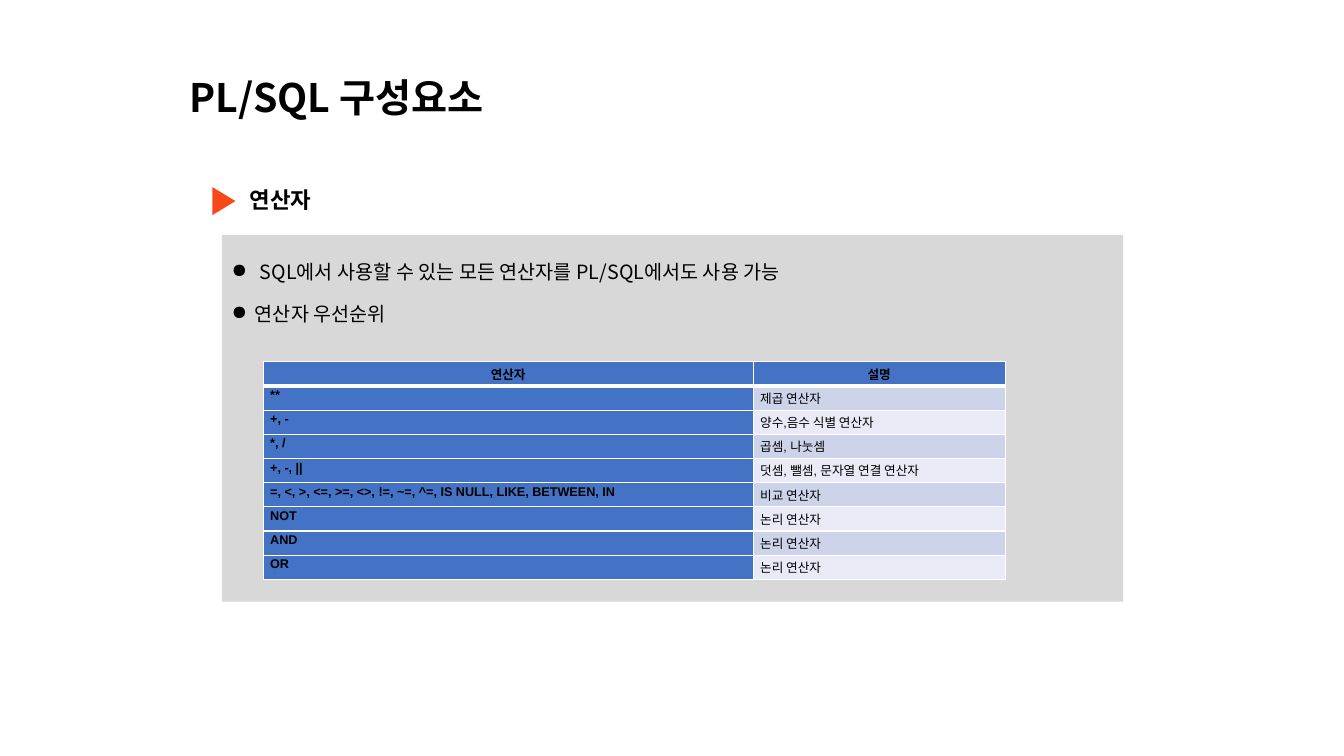
import pptx
import pptx.dml.color
import pptx.enum.shapes
import pptx.enum.text
import pptx.oxml
import pptx.oxml.ns
import pptx.util

Inches = pptx.util.Inches
Pt = pptx.util.Pt
qn = pptx.oxml.ns.qn
ALIGN = pptx.enum.text.PP_ALIGN
SHAPE = pptx.enum.shapes.MSO_SHAPE

KOREAN_FONT = "Noto Sans CJK KR"
COLORS = {
    "text": "000000",
    "panel": "D8D8D8",
    "marker": "F84818",
    "key": "4472C4",
    "odd": "CDD4EA",
    "even": "E8EBF5",
    "border": "FFFFFF",
}
POINTS = [
    ("SQL에서 사용할 수 있는 모든 연산자를 PL/SQL에서도 사용 가능", 0.28),
    ("연산자 우선순위", 0.23),
]
OPERATORS = [
    ("연산자", "설명"),
    ("**", "제곱 연산자"),
    ("+, -", "양수,음수 식별 연산자"),
    ("*, /", "곱셈, 나눗셈"),
    ("+, -, ||", "덧셈, 뺄셈, 문자열 연결 연산자"),
    ("=, <, >, <=, >=, <>, !=, ~=, ^=, IS NULL, LIKE, BETWEEN, IN", "비교 연산자"),
    ("NOT", "논리 연산자"),
    ("AND", "논리 연산자"),
    ("OR", "논리 연산자"),
]


def rgb(name):
    return pptx.dml.color.RGBColor.from_string(COLORS[name])


def style_text(paragraph, size, bold=False, font=KOREAN_FONT):
    paragraph.font.size = Pt(size)
    paragraph.font.bold = bold
    paragraph.font.name = font
    paragraph.font.color.rgb = rgb("text")
    if font == KOREAN_FONT:
        east_asian = pptx.oxml.parse_xml(
            f'<a:ea {pptx.oxml.ns.nsdecls("a")} typeface="{font}"/>')
        latin = paragraph.font._element.find(qn("a:latin"))
        latin.addnext(east_asian)


def add_heading(slide, left, top, width, height, text, size):
    box = slide.shapes.add_textbox(Inches(left), Inches(top), Inches(width), Inches(height))
    box.text_frame.word_wrap = True
    heading = box.text_frame.paragraphs[0]
    heading.text = text
    style_text(heading, size, bold=True)


def add_filled_shape(slide, kind, left, top, width, height, color):
    shape = slide.shapes.add_shape(
        kind, Inches(left), Inches(top), Inches(width), Inches(height))
    shape.shadow.inherit = False
    shape.fill.solid()
    shape.fill.fore_color.rgb = rgb(color)
    shape.line.fill.background()
    return shape


def add_section(slide, left, top, width, height):
    add_heading(slide, left + 0.3, top, width - 0.3, height, "연산자", 16)
    marker = add_filled_shape(
        slide, SHAPE.FLOWCHART_EXTRACT, left, top + 0.08, 0.28, 0.23, "marker")
    marker.rotation = 90


def add_panel(slide, left, top, width, height):
    panel = add_filled_shape(slide, SHAPE.RECTANGLE, left, top, width, height, "panel")
    frame = panel.text_frame
    frame.word_wrap = True
    frame.vertical_anchor = pptx.enum.text.MSO_ANCHOR.TOP
    frame.margin_top = Inches(0.25)
    for index, (text, indent) in enumerate(POINTS):
        point = frame.add_paragraph() if index else frame.paragraphs[0]
        point.text = text
        point.alignment = ALIGN.LEFT
        if index:
            point.space_before = Pt(13)
        style_text(point, 14)
        properties = point._p.get_or_add_pPr()
        properties.set("marL", str(Inches(indent)))
        properties.set("indent", str(-Inches(indent)))
        bullet = pptx.oxml.parse_xml(
            f'<a:buChar {pptx.oxml.ns.nsdecls("a")} char="●"/>')
        properties.find(qn("a:defRPr")).addprevious(bullet)
    add_operators(slide, left + 0.41, top + 1.26, [4.86, 2.5], 0.24)


def set_borders(cell, bottom):
    properties = cell._tc.get_or_add_tcPr()
    for index, (side, points) in enumerate(
            [("lnL", 1), ("lnR", 1), ("lnT", 1), ("lnB", bottom)]):
        properties.insert(index, pptx.oxml.parse_xml(
            f'<a:{side} {pptx.oxml.ns.nsdecls("a")} w="{Pt(points)}"><a:solidFill>'
            f'<a:srgbClr val="{COLORS["border"]}"/></a:solidFill></a:{side}>'))


def add_operators(slide, left, top, widths, row_height):
    table = slide.shapes.add_table(
        len(OPERATORS), len(widths), Inches(left), Inches(top),
        Inches(sum(widths)), Inches(row_height * len(OPERATORS))).table
    for column, width in zip(table.columns, widths):
        column.width = Inches(width)
    for r, texts in enumerate(OPERATORS):
        table.rows[r].height = Inches(row_height)
        for c, text in enumerate(texts):
            is_key = r == 0 or c == 0
            cell = table.cell(r, c)
            cell.margin_left = cell.margin_right = Inches(0.07)
            cell.margin_top = cell.margin_bottom = 0
            cell.fill.solid()
            cell.fill.fore_color.rgb = rgb("key" if is_key else "odd" if r % 2 else "even")
            set_borders(cell, 1 if r else 3)
            entry = cell.text_frame.paragraphs[0]
            entry.text = text
            entry.alignment = ALIGN.JUSTIFY if r else ALIGN.CENTER
            entry.line_spacing = 1.15
            style_text(entry, 9, bold=is_key, font="Arial")


def main():
    deck = pptx.Presentation()
    deck.slide_width = Inches(13.33)
    deck.slide_height = Inches(7.5)
    slide = deck.slides.add_slide(deck.slide_layouts[6])
    add_heading(slide, 1.78, 0.68, 5.26, 0.57, "PL/SQL 구성요소", 28)
    add_section(slide, 2.08, 1.8, 9.55, 0.37)
    add_panel(slide, 2.2, 2.33, 8.94, 3.64)
    deck.save("out.pptx")


if __name__ == "__main__":
    main()
